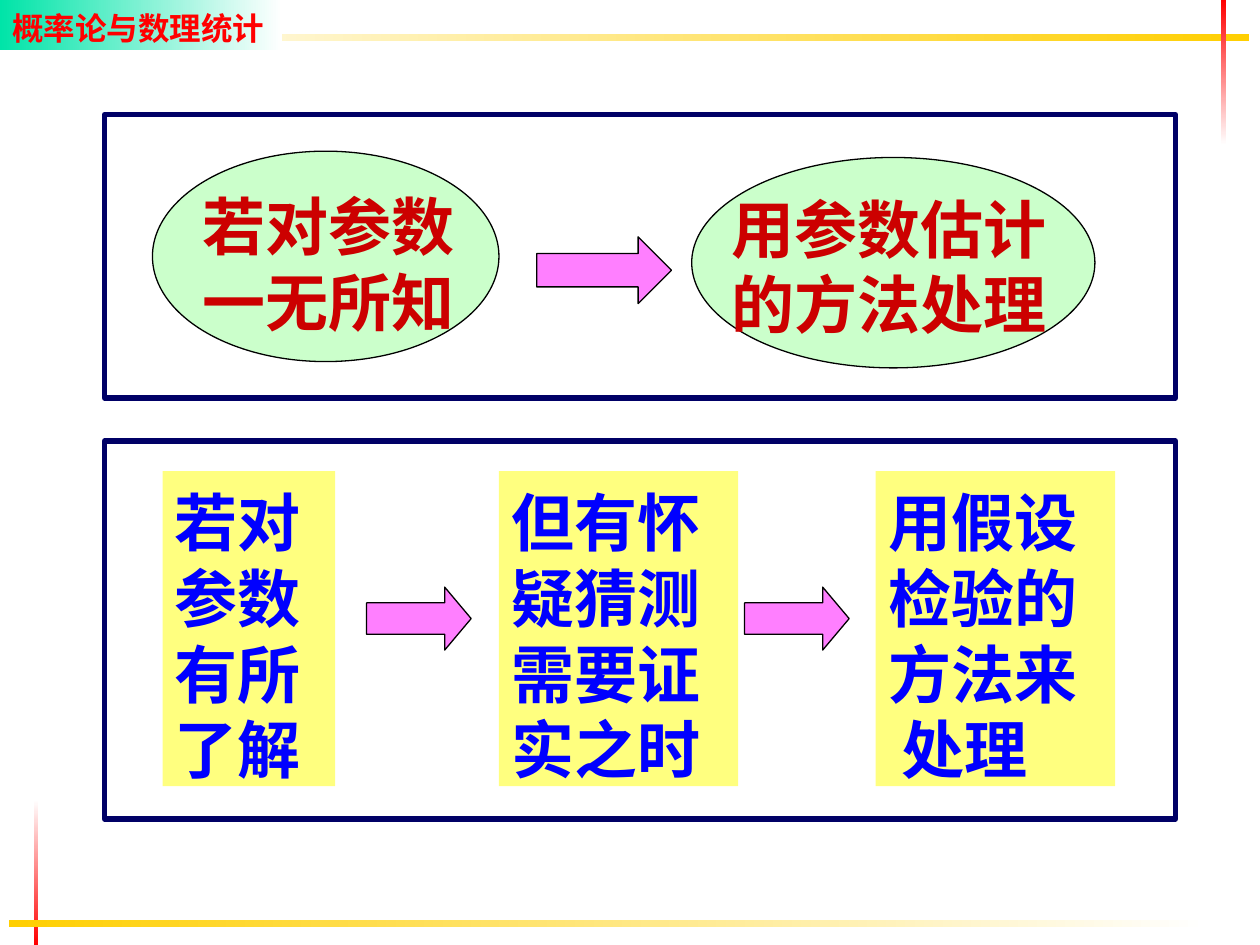
from dataclasses import dataclass

from lxml import etree
from pptx import Presentation
from pptx import util as u
from pptx.dml.color import RGBColor
from pptx.enum import shapes, text
from pptx.oxml import ns

COLUMNS, ROWS = 200, 150
CELL = u.Inches(0.05)

WHITE = RGBColor(0xFF, 0xFF, 0xFF)
BLACK = RGBColor(0x00, 0x00, 0x00)
RED = RGBColor(0xFF, 0x00, 0x00)
DARK_RED = RGBColor(0xCC, 0x00, 0x00)
GOLD = RGBColor(0xFF, 0xCF, 0x01)
TEAL = RGBColor(0x00, 0xE4, 0xA8)
NAVY = RGBColor(0x00, 0x00, 0x66)
BLUE = RGBColor(0x00, 0x00, 0xFF)
MAGENTA = RGBColor(0xFF, 0x00, 0xFF)
YELLOW = RGBColor(0xFF, 0xFF, 0x00)
GREEN = RGBColor(0x99, 0xFF, 0x99)

CJK_FONT = "Noto Sans CJK SC"
ACROSS, DOWN = 0, 270


@dataclass
class Box:
    """An area of the slide, in grid columns and rows."""
    col: float
    row: float
    cols: float
    rows: float

    def inner(self, col, row, cols, rows):
        """A box placed from this box's top left corner."""
        return Box(self.col + col, self.row + row, cols, rows)

    def lengths(self):
        return [u.Emu(round(n * CELL))
                for n in (self.col, self.row, self.cols, self.rows)]


def write(holder, lines, size=36, color=BLUE, font=CJK_FONT,
          top=0.1, wrap=True, indents=None):
    """Set bold lines; indents maps a line number to its left indent in inches."""
    frame = holder.text_frame
    frame.word_wrap = wrap
    frame.vertical_anchor = text.MSO_ANCHOR.TOP
    frame.margin_left = frame.margin_right = u.Inches(0.1)
    frame.margin_top, frame.margin_bottom = u.Inches(top), 0
    for number, line in enumerate(lines):
        paragraph = frame.paragraphs[0] if number == 0 else frame.add_paragraph()
        paragraph.alignment = text.PP_ALIGN.LEFT
        paragraph.line_spacing = u.Pt(1.2 * size)
        if indents and number in indents:
            properties = paragraph._p.get_or_add_pPr()
            properties.set("marL", str(u.Inches(indents[number])))
            properties.set("indent", "0")
        run = paragraph.add_run()
        run.text = line
        run.font.name, run.font.size, run.font.bold = font, u.Pt(size), True
        run.font.color.rgb = color
        east_asian = etree.SubElement(run._r.get_or_add_rPr(), ns.qn("a:ea"))
        east_asian.set("typeface", CJK_FONT)


def add_plain(parent, kind, box, fill=None, line=None, width=0.75):
    """Add a preset shape; a fill colour is half transparent."""
    shape = parent.add_shape(kind, *box.lengths())
    shape.shadow.inherit = False
    if fill is None:
        shape.fill.background()
    else:
        shape.fill.solid()
        shape.fill.fore_color.rgb = fill
        solid_color = shape.fill._xPr.find(ns.qn("a:solidFill"))[0]
        etree.SubElement(solid_color, ns.qn("a:alpha")).set("val", "50000")
    if line is None:
        shape.line.fill.background()
    else:
        shape.line.color.rgb = line
        shape.line.width = u.Pt(width)
    return shape


def add_fade(parent, box, start, end, angle):
    bar = add_plain(parent, shapes.MSO_SHAPE.RECTANGLE, box)
    bar.fill.gradient()
    bar.fill.gradient_angle = angle
    for stop, color in zip(bar.fill.gradient_stops, (start, end)):
        stop.color.rgb = color
    return bar


def add_frame(parent, box):
    add_plain(parent, shapes.MSO_SHAPE.RECTANGLE, box, line=NAVY, width=3)


def add_arrow(parent, box, head):
    arrow = add_plain(parent, shapes.MSO_SHAPE.RIGHT_ARROW, box, MAGENTA, BLACK)
    arrow.adjustments[0], arrow.adjustments[1] = 0.5, head


def add_margins(parent, page):
    """Course title and the fading bars along the slide's edges."""
    add_fade(parent, page.inner(5.4, 127, 0.6, 23), WHITE, RED, DOWN)
    add_fade(parent, page.inner(1.4, 146, 190.2, 1.2), GOLD, WHITE, ACROSS)
    add_fade(parent, page.inner(8, 5.4, 190.2, 1.2), WHITE, GOLD, ACROSS)
    add_fade(parent, page.inner(193.8, 0, 0.8, 23), RED, WHITE, DOWN)
    course = add_fade(parent, page.inner(0, 0, 44.8, 8), TEAL, WHITE, ACROSS)
    write(course, ["概率论与数理统计"], size=18, color=RED, font="Karla", top=0.07)


def add_estimation(parent, panel):
    """Nothing known of the parameter: two ovals joined by an arrow."""
    add_arrow(parent, panel.inner(68.6, 19.4, 21.4, 10.6), 0.5)
    ovals = [
        (panel.inner(7.6, 5.8, 55, 33.4), (6, 3.8, 44, 26),
         ["若对参数", "一无所知"], False),
        (panel.inner(93.2, 6.8, 64, 33.4), (4.4, 3.2, 56.2, 26),
         ["用参数估计", "的方法处理"], True),
    ]
    for oval, label_place, lines, wrap in ovals:
        group = parent.add_group_shape().shapes
        add_plain(group, shapes.MSO_SHAPE.OVAL, oval, GREEN, BLACK)
        label = group.add_textbox(*oval.inner(*label_place).lengths())
        write(label, lines, color=DARK_RED, wrap=wrap)
    add_frame(parent, panel)


def add_testing(parent, panel):
    """Something known of the parameter: three cards joined by arrows."""
    cards = [
        (9.2, 27.4, ["若对", "参数", "有所", "了解"], None),
        (62.6, 38, ["但有怀", "疑猜测", "需要证", "实之时"], None),
        (122.4, 38, ["用假设", "检验的", "方法来", "处理"], {3: 0.11}),
    ]
    for col, cols, lines, indents in cards:
        card = add_plain(parent, shapes.MSO_SHAPE.RECTANGLE,
                         panel.inner(col, 4.8, cols, 50), YELLOW)
        write(card, lines, indents=indents)
    for col in (41.6, 101.6):
        add_arrow(parent, panel.inner(col, 23.2, 16.6, 10), 0.42)
    add_frame(parent, panel)


def main():
    deck = Presentation()
    deck.slide_width, deck.slide_height = COLUMNS * CELL, ROWS * CELL
    content = deck.slides.add_slide(deck.slide_layouts[6]).shapes
    page = Box(0, 0, COLUMNS, ROWS)
    add_margins(content, page)
    add_estimation(content, page.inner(16.6, 18.2, 170, 45))
    add_testing(content, page.inner(16.6, 70, 170, 60))
    deck.save("out.pptx")


if __name__ == "__main__":
    main()
